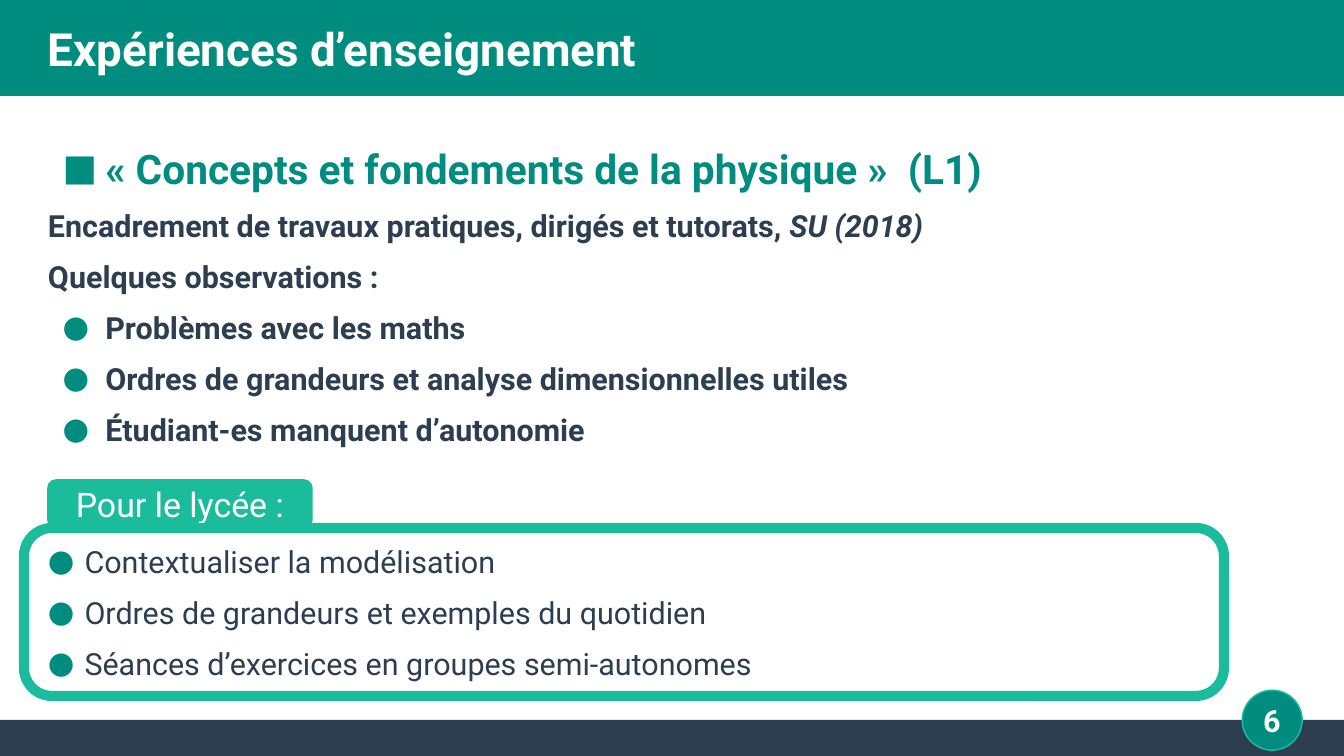
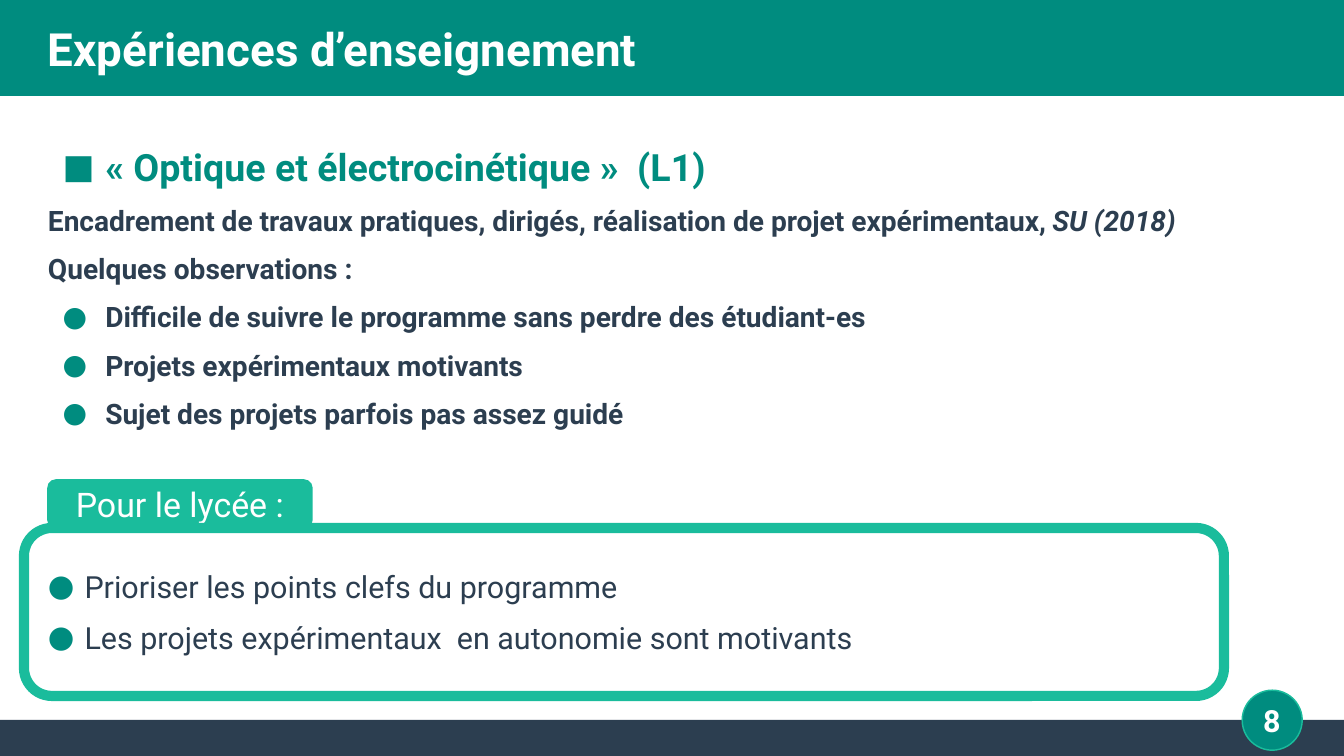
"""Build two teaching-experience slides on a grid of one-centimetre cells."""
from dataclasses import dataclass
from typing import Any, NamedTuple, Optional

from lxml.etree import SubElement
from pptx import Presentation
from pptx.dml.color import RGBColor
from pptx.enum.shapes import MSO_SHAPE as Preset
from pptx.enum.text import MSO_ANCHOR as Anchor, MSO_AUTO_SIZE as AutoSize, PP_ALIGN as Align
from pptx.oxml.ns import qn
from pptx.util import Cm, Inches, Pt

FONT = "Roboto"
TEAL, MINT, NAVY, WHITE = "008C7F", "1ABC9C", "2C3E50", "FFFFFF"
COLUMNS, ROWS = 28, 15.75
GAP = 8.5


class Cells(NamedTuple):
    """Place a box by column, row, columns wide and rows high."""
    column: float
    row: float
    wide: float
    high: float


class Bullet(NamedTuple):
    """Describe a bullet mark and its hanging indent in inches."""
    mark: str
    margin: float
    hang: float
    percent: int = 100


class Span(NamedTuple):
    """Hold a stretch of text with one format."""
    text: str
    size: float
    color: str
    bold: bool = False
    italic: bool = False


class Para(NamedTuple):
    """Hold the spans of a paragraph and its layout."""
    spans: list[Span]
    bullet: Optional[Bullet] = None
    align: Align = Align.LEFT
    after: float = 0


class Form(NamedTuple):
    """Describe a preset shape."""
    cells: Cells
    preset: Preset
    fill: str
    line: Optional[str] = None
    weight: float = 0


@dataclass
class Course:
    """Hold the content of one slide."""
    number: int
    heading: str
    duty: str
    remarks: list[str]
    advice: list[str]
    heading_size: float = 24
    text_size: float = 18


TITLE = "Expériences d’enseignement"
TITLE_CELLS = Cells(1, 0, 26, 2)
BODY_CELLS = Cells(1, 3, 26, 7)
NUMBER_CELLS = Cells(25.5, 14.25, 2, 1.5)
SQUARE = Bullet("■", 0.47, 0.35, 90)
DOT = Bullet("●", 0.47, 0.35)
PANEL_DOT = Bullet("●", 0.3, 0.3)
FRAME = [
    Form(Cells(0, 15, COLUMNS, 0.75), Preset.RECTANGLE, NAVY),
    Form(Cells(0, 0, COLUMNS, 2), Preset.RECTANGLE, TEAL),
    Form(Cells(25.88, 14.38, 1.25, 1.25), Preset.OVAL, TEAL, MINT, 0.85),
]
LABEL = Form(Cells(1, 10, 5.5, 1), Preset.ROUNDED_RECTANGLE, MINT, MINT, 0.85)
PANEL = Form(Cells(0.5, 11, 25, 3.5), Preset.ROUNDED_RECTANGLE, WHITE, MINT, 6)

COURSES = [
    Course(
        6,
        "« Concepts et fondements de la physique »  (L1)",
        "Encadrement de travaux pratiques, dirigés et tutorats, ",
        ["Problèmes avec les maths",
         "Ordres de grandeurs et analyse dimensionnelles utiles",
         "Étudiant-es manquent d’autonomie"],
        ["Contextualiser la modélisation",
         "Ordres de grandeurs et exemples du quotidien",
         "Séances d’exercices en groupes semi-autonomes"],
    ),
    Course(
        8,
        "« Optique et électrocinétique »  (L1)",
        "Encadrement de travaux pratiques, dirigés, réalisation de projet expérimentaux, ",
        ["Difficile de suivre le programme sans perdre des étudiant-es",
         "Projets expérimentaux motivants",
         "Sujet des projets parfois pas assez guidé"],
        ["Prioriser les points clefs du programme",
         "Les projets expérimentaux  en autonomie sont motivants"],
        heading_size=22.2,
        text_size=16.6,
    ),
]


def apply(target: Any, values: dict[str, Any]) -> None:
    """Set each named attribute of the target."""
    for name, value in values.items():
        setattr(target, name, value)


def paint(hex_code: str) -> RGBColor:
    """Turn a hex string into a colour."""
    return RGBColor.from_string(hex_code)


def lengths(cells: Cells) -> list[int]:
    """Turn grid cells into left, top, width and height."""
    return [Cm(value) for value in cells]


def add_bullet(para: Any, bullet: Optional[Bullet]) -> None:
    """Give a paragraph its bullet, or none."""
    settings = para._p.get_or_add_pPr()
    if bullet is None:
        settings.set("marL", "0")
        settings.set("indent", "0")
        SubElement(settings, qn("a:buNone"))
        return
    settings.set("marL", str(Inches(bullet.margin)))
    settings.set("indent", str(-Inches(bullet.hang)))
    color = SubElement(settings, qn("a:buClr"))
    SubElement(color, qn("a:srgbClr"), val=TEAL)
    SubElement(settings, qn("a:buSzPct"), val=str(bullet.percent * 1000))
    SubElement(settings, qn("a:buFont"), typeface=FONT)
    SubElement(settings, qn("a:buChar"), char=bullet.mark)


def write(box: Any, paras: list[Para], anchor: Anchor = Anchor.MIDDLE,
          inset: tuple[float, float] = (0, 0)) -> None:
    """Fill a box with formatted paragraphs."""
    frame = box.text_frame
    across, down = (Inches(value) for value in inset)
    apply(frame, {
        "word_wrap": True, "auto_size": AutoSize.NONE, "vertical_anchor": anchor,
        "margin_left": across, "margin_right": across,
        "margin_top": down, "margin_bottom": down,
    })
    for index, item in enumerate(paras):
        para = frame.add_paragraph() if index else frame.paragraphs[0]
        add_bullet(para, item.bullet)
        apply(para, {"alignment": item.align, "line_spacing": 1.0,
                     "space_before": Pt(0), "space_after": Pt(item.after)})
        for span in item.spans:
            run = para.add_run()
            run.text = span.text
            apply(run.font, {"name": FONT, "size": Pt(span.size),
                             "bold": span.bold, "italic": span.italic})
            run.font.color.rgb = paint(span.color)


def draw(page: Any, form: Form) -> Any:
    """Draw a preset shape on a page."""
    shape = page.shapes.add_shape(form.preset, *lengths(form.cells))
    shape.shadow.inherit = False
    shape.fill.solid()
    shape.fill.fore_color.rgb = paint(form.fill)
    if form.line:
        shape.line.color.rgb = paint(form.line)
        shape.line.width = Pt(form.weight)
    else:
        shape.line.fill.background()
    return shape


def prepare_layout(layout: Any) -> None:
    """Place the title and body of the layout and drop its other parts."""
    places = {0: TITLE_CELLS, 1: BODY_CELLS}
    for holder in list(layout.placeholders):
        cells = places.get(holder.placeholder_format.idx)
        if cells:
            apply(holder, dict(zip(("left", "top", "width", "height"), lengths(cells))))
        else:
            holder.element.getparent().remove(holder.element)


def add_frame(layout: Any, page: Any) -> None:
    """Draw the bands and badge, then place them at the back of the layout."""
    for index, form in enumerate(FRAME):
        element = draw(page, form).element
        element.nvSpPr.cNvPr.set("id", str(100 + index))
        layout.shapes.element.insert(2 + index, element)


def body_paras(course: Course) -> list[Para]:
    """Compose the heading, duty and remarks of a course."""
    size = course.text_size
    duty = [Span(course.duty, size, NAVY, True), Span("SU (2018)", size, NAVY, True, True)]
    intro = [Span("Quelques observations :", size, NAVY, True)]
    heading = [Span(course.heading, course.heading_size, TEAL, True)]
    remarks = [Para([Span(text, size, NAVY, True)], DOT, after=GAP) for text in course.remarks]
    return [Para(heading, SQUARE, after=GAP), Para(duty, after=GAP),
            Para(intro, after=GAP), *remarks]


def fill_page(page: Any, course: Course) -> None:
    """Write one course on its page."""
    write(page.shapes.title, [Para([Span(TITLE, 27, WHITE, True)])])
    write(page.placeholders[1], body_paras(course), Anchor.TOP)
    label = [Span("Pour le lycée :", 20, WHITE)]
    write(draw(page, LABEL), [Para(label, align=Align.CENTER)], inset=(0.1, 0.05))
    advice = [Para([Span(text, 18, NAVY)], PANEL_DOT, after=GAP) for text in course.advice]
    write(draw(page, PANEL), advice, inset=(0.13, 0.08))
    number = [Span(str(course.number), 18, WHITE, True)]
    badge = page.shapes.add_textbox(*lengths(NUMBER_CELLS))
    write(badge, [Para(number, align=Align.CENTER)])


def main() -> None:
    """Build and save the deck."""
    deck = Presentation()
    apply(deck, {"slide_width": Cm(COLUMNS), "slide_height": Cm(ROWS)})
    layout = deck.slide_layouts[1]
    prepare_layout(layout)
    pages = [deck.slides.add_slide(layout) for _ in COURSES]
    add_frame(layout, pages[0])
    for page, course in zip(pages, COURSES):
        fill_page(page, course)
    deck.save("out.pptx")


if __name__ == "__main__":
    main()
